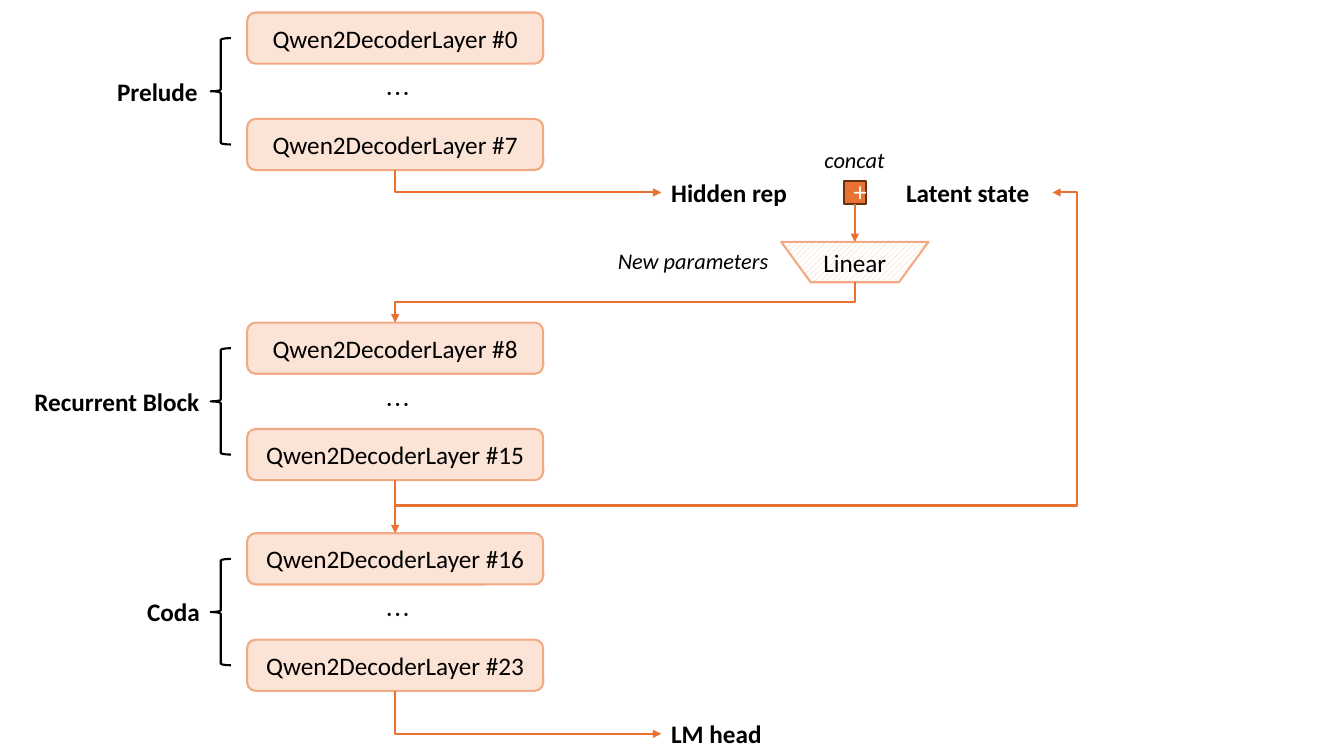
from lxml.etree import SubElement
from pptx import Presentation
from pptx.dml.color import RGBColor
from pptx.enum.dml import MSO_PATTERN
from pptx.enum.shapes import MSO_CONNECTOR, MSO_SHAPE
from pptx.enum.text import MSO_ANCHOR, MSO_AUTO_SIZE, PP_ALIGN
from pptx.oxml.ns import qn
from pptx.util import Pt

BLACK, WHITE, ORANGE, PEACH = "000000", "FFFFFF", "E97132", "F2AA84"
LATIN, SYMBOL = "Calibri", "Noto Sans CJK SC"

STAGES = [
    ("Prelude", 74, 8.9, (0, 7)),
    ("Recurrent Block", 133, 230.4, (8, 15)),
    ("Coda", 52.5, 380.9, (16, 23)),
]
LAYER_LEFT, LAYER_WIDTH, LAYER_HEIGHT, LAYER_PITCH = 176.5, 211.5, 36.6, 76
BRACE_LEFT, BRACE_WIDTH = 150.5, 14.4
LABEL_HEIGHT, NOTE_HEIGHT = 29.1, 26.6
MERGE_CENTER, MERGE_MIDDLE, MERGE_SIZE = 610.6, 137.5, 16
LINEAR_TOP, LINEAR_WIDTH, LINEAR_HEIGHT = 172.8, 105.2, 28.8
HEADS_LEFT = 472.3
TOP, LEFT, BOTTOM, RIGHT = range(4)

deck = Presentation()
deck.slide_width, deck.slide_height = Pt(960), Pt(540)
page = deck.slides.add_slide(deck.slide_layouts[6])


def color(value):
    return RGBColor.from_string(value)


def write(shape, text, size=18, font=LATIN, ink=BLACK, bold=False, italic=False):
    para = shape.text_frame.paragraphs[0]
    para.text = text
    para.font.size, para.font.name = Pt(size), font
    para.font.bold, para.font.italic = bold, italic
    para.font.color.rgb = color(ink)
    return para


def add_box(kind, left, top, width, height, line, fill=None):
    box = page.shapes.add_shape(kind, Pt(left), Pt(top), Pt(width), Pt(height))
    box.shadow.inherit = False
    box.line.color.rgb, box.line.width = color(line), Pt(1.5)
    if fill:
        box.fill.solid()
        box.fill.fore_color.rgb = color(fill)
    else:
        box.fill.background()
    return box


def add_block(kind, left, top, width, height, line, fill, text, **style):
    box = add_box(kind, left, top, width, height, line, fill)
    box.text_frame.vertical_anchor = MSO_ANCHOR.MIDDLE
    write(box, text, **style).alignment = PP_ALIGN.CENTER
    return box


def add_text(text, left, top, width, height=LABEL_HEIGHT, wrap=False, **style):
    box = page.shapes.add_textbox(Pt(left), Pt(top), Pt(width), Pt(height))
    box.text_frame.word_wrap = wrap
    box.text_frame.auto_size = MSO_AUTO_SIZE.SHAPE_TO_FIT_TEXT
    write(box, text, **style)
    return box


def add_arrow(kind, source, source_side, target, target_side):
    arrow = page.shapes.add_connector(kind, 0, 0, 0, 0)
    arrow.begin_connect(source, source_side)
    arrow.end_connect(target, target_side)
    arrow.line.color.rgb, arrow.line.width = color(ORANGE), Pt(1.5)
    SubElement(arrow.line._get_or_add_ln(), qn("a:tailEnd"), type="triangle")
    SubElement(arrow._element.spPr, qn("a:effectLst"))
    return arrow


def add_elbow(source, source_side, target, target_side, preset, turn, flips="", bends=()):
    arrow = add_arrow(MSO_CONNECTOR.ELBOW, source, source_side, target, target_side)
    across, down = arrow.width, arrow.height
    center, middle = arrow.left + across // 2, arrow.top + down // 2
    arrow.left, arrow.top = center - down // 2, middle - across // 2
    arrow.width, arrow.height = down, across
    frame = arrow._element.spPr.find(qn("a:xfrm"))
    for flip in ("flipH", "flipV"):
        frame.set(flip, str(int(flip in flips)))
    frame.set("rot", str(turn * 60000))
    geometry = arrow._element.spPr.find(qn("a:prstGeom"))
    geometry.set("prst", preset)
    for number, bend in enumerate(bends, 1):
        SubElement(geometry.find(qn("a:avLst")), qn("a:gd"),
                   name=f"adj{number}", fmla=f"val {bend}")


layers = {}
for name, label_width, top, numbers in STAGES:
    for step, number in enumerate(numbers):
        layers[number] = add_block(
            MSO_SHAPE.ROUNDED_RECTANGLE, LAYER_LEFT, top + step * LAYER_PITCH,
            LAYER_WIDTH, LAYER_HEIGHT, PEACH, "FBE3D6", f"Qwen2DecoderLayer #{number}")
    add_text("…", 268.6, top + 43.8, 27.4, font=SYMBOL)
    add_box(MSO_SHAPE.LEFT_BRACE, BRACE_LEFT, top + LAYER_HEIGHT / 2,
            BRACE_WIDTH, LAYER_PITCH, BLACK)
    add_text(name, BRACE_LEFT - label_width, top + 41.8, label_width, bold=True)

merge_top = MERGE_MIDDLE - LABEL_HEIGHT / 2
lm_head = add_text("LM head", HEADS_LEFT, 509.6, 80, bold=True)
hidden = add_text("Hidden rep", HEADS_LEFT, merge_top, 101, wrap=True, bold=True)
latent = add_text("Latent state", 640.1, merge_top, 111.6, wrap=True, bold=True)
plus = add_block(MSO_SHAPE.RECTANGLE, MERGE_CENTER - MERGE_SIZE / 2,
                 MERGE_MIDDLE - MERGE_SIZE / 2, MERGE_SIZE, MERGE_SIZE,
                 "663216", ORANGE, "+", font=SYMBOL, ink=WHITE)
linear = add_block(MSO_SHAPE.FLOWCHART_MANUAL_OPERATION, MERGE_CENTER - LINEAR_WIDTH / 2,
                   LINEAR_TOP, LINEAR_WIDTH, LINEAR_HEIGHT, PEACH, WHITE, "Linear")
linear.fill.patterned()
linear.fill.pattern = MSO_PATTERN.WIDE_UPWARD_DIAGONAL
linear.fill.fore_color.rgb, linear.fill.back_color.rgb = color("F6C6AD"), color(WHITE)
add_text("concat", 581.8, 100.8, 58.3, NOTE_HEIGHT, size=16, italic=True)
add_text("New parameters", 434.2, LINEAR_TOP, 123.8, NOTE_HEIGHT, size=16, italic=True)

add_arrow(MSO_CONNECTOR.STRAIGHT, layers[15], BOTTOM, layers[16], TOP)
add_arrow(MSO_CONNECTOR.STRAIGHT, plus, BOTTOM, linear, TOP)
add_elbow(layers[7], BOTTOM, hidden, LEFT, "bentConnector2", 270, "flipH")
add_elbow(layers[23], BOTTOM, lm_head, LEFT, "bentConnector2", 270, "flipH")
add_elbow(linear, BOTTOM, layers[8], TOP, "bentConnector3", 90)
add_elbow(layers[15], BOTTOM, latent, RIGHT, "bentConnector4", 90, "flipH flipV",
          (-8800, 103800))

deck.save("out.pptx")
